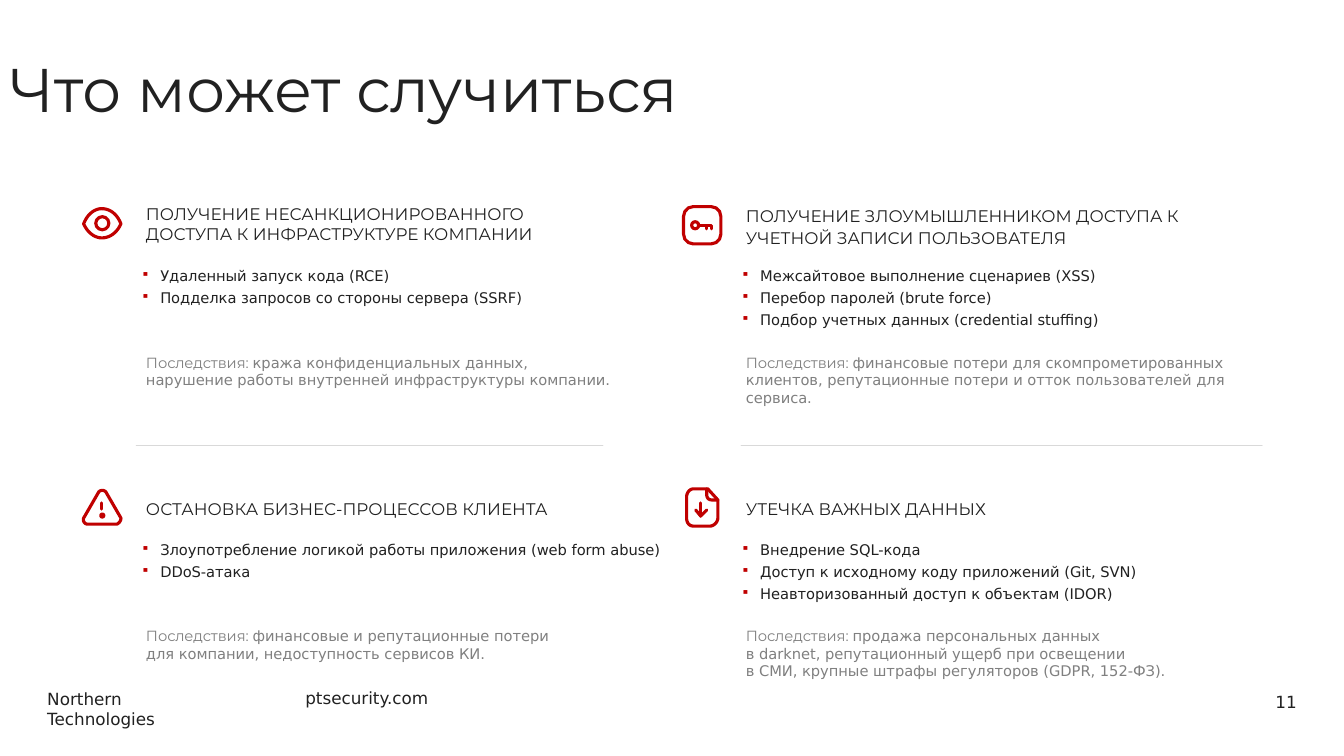
from lxml import etree
from pptx import Presentation
from pptx.dml.color import RGBColor
from pptx.enum.shapes import MSO_CONNECTOR, MSO_SHAPE
from pptx.enum.text import MSO_ANCHOR, MSO_AUTO_SIZE, PP_ALIGN
from pptx.oxml.ns import qn
from pptx.util import Inches, Pt

STRAIGHT = MSO_CONNECTOR.STRAIGHT
OVAL, ROUNDED = MSO_SHAPE.OVAL, MSO_SHAPE.ROUNDED_RECTANGLE
TOP, MIDDLE = MSO_ANCHOR.TOP, MSO_ANCHOR.MIDDLE
GROW, FIXED = MSO_AUTO_SIZE.SHAPE_TO_FIT_TEXT, MSO_AUTO_SIZE.NONE
LEFT, RIGHT = PP_ALIGN.LEFT, PP_ALIGN.RIGHT

INK = RGBColor(0x21, 0x21, 0x21)
GRAY = RGBColor(0x80, 0x80, 0x80)
RED = RGBColor(0xC0, 0x00, 0x00)
RULE = RGBColor(0xD9, 0xD9, 0xD9)
HEAD_FONT, BODY_FONT = "Montserrat", "DejaVu Sans"


def inches(values):
    return [Inches(value) for value in values]


def sample_outline(start, segments, steps=10):
    """Points along line (x, y) and cubic (x1, y1, x2, y2, x, y) segments."""
    points = [start]
    for segment in segments:
        if len(segment) == 2:
            points.append(segment)
            continue
        corners = [points[-1], segment[:2], segment[2:4], segment[4:]]
        for step in range(1, steps + 1):
            t = step / steps
            weights = ((1 - t) ** 3, 3 * t * (1 - t) ** 2, 3 * t * t * (1 - t), t ** 3)
            points.append(tuple(sum(weight * corner[axis] for weight, corner in zip(weights, corners))
                                for axis in (0, 1)))
    return points


class SlideBuilder:
    def __init__(self, slide):
        self.slide = slide

    def text_box(self, box, anchor=TOP, wrap=True, auto_size=GROW, inset=0.1):
        frame = self.slide.shapes.add_textbox(*inches(box)).text_frame
        frame.word_wrap = wrap
        frame.auto_size = auto_size
        frame.vertical_anchor = anchor
        frame.margin_left = frame.margin_right = Inches(inset)
        frame.margin_top = frame.margin_bottom = Inches(0.05)
        return frame

    def run(self, paragraph, text, size, font=BODY_FONT, color=INK):
        for index, line in enumerate(text.split("\n")):
            if index:
                paragraph.add_line_break()
            run = paragraph.add_run()
            run.text = line
            run.font.size = Pt(size)
            run.font.name = font
            run.font.color.rgb = color

    def label(self, box, text, size=12, font=BODY_FONT, spacing=1.0, align=LEFT, **frame_style):
        paragraph = self.text_box(box, **frame_style).paragraphs[0]
        paragraph.alignment = align
        paragraph.line_spacing = spacing
        self.run(paragraph, text, size, font)

    def bullets(self, box, items):
        frame = self.text_box(box, inset=0.05)
        for index, item in enumerate(items):
            paragraph = frame.add_paragraph() if index else frame.paragraphs[0]
            paragraph.line_spacing = 1.1
            paragraph.space_after = Pt(2)
            properties = paragraph._p.get_or_add_pPr()
            properties.set("marL", str(Inches(0.19)))
            properties.set("indent", str(-Inches(0.19)))
            color = etree.SubElement(properties, qn("a:buClr"))
            etree.SubElement(color, qn("a:srgbClr"), val=str(RED))
            etree.SubElement(properties, qn("a:buSzPct"), val="80000")
            etree.SubElement(properties, qn("a:buChar"), char="▪")
            self.run(paragraph, item, 10.5)

    def consequences(self, box, text):
        paragraph = self.text_box(box).paragraphs[0]
        self.run(paragraph, "Последствия: ", 10.5, HEAD_FONT, GRAY)
        self.run(paragraph, text, 10.5, BODY_FONT, GRAY)

    def line(self, start, end, color=RED, width=2.25):
        connector = self.slide.shapes.add_connector(STRAIGHT, *inches(start + end))
        connector.line.color.rgb = color
        connector.line.width = Pt(width)
        properties = connector._element.spPr
        etree.SubElement(properties, qn("a:effectLst"))
        properties.find(qn("a:ln")).set("cap", "rnd")

    def stroke(self, shape, fill=None):
        shape.shadow.inherit = False
        if fill is None:
            shape.fill.background()
        else:
            shape.fill.solid()
            shape.fill.fore_color.rgb = fill
        shape.line.color.rgb = RED
        shape.line.width = Pt(2.25)
        outline = shape._element.spPr.find(qn("a:ln"))
        outline.set("cap", "rnd")
        etree.SubElement(outline, qn("a:round"))

    def preset(self, kind, box, fill=None, corner=None):
        shape = self.slide.shapes.add_shape(kind, *inches(box))
        if corner is not None:
            shape.adjustments[0] = corner
        self.stroke(shape, fill)

    def outline(self, start, segments, close=False):
        points = [tuple(inches(point)) for point in sample_outline(start, segments)]
        builder = self.slide.shapes.build_freeform(*points[0], scale=1.0)
        builder.add_line_segments(points[1:], close=close)
        self.stroke(builder.convert_to_shape())


def draw_icons(page):
    # Eye
    page.outline((0.83, 2.22), [(0.87, 2.12, 0.94, 2.07, 1.01, 2.07), (1.09, 2.07, 1.16, 2.12, 1.2, 2.22),
                                (1.16, 2.31, 1.09, 2.36, 1.01, 2.36), (0.94, 2.36, 0.87, 2.31, 0.83, 2.22)], True)
    page.preset(OVAL, (0.95, 2.15, 0.13, 0.13))
    # Key
    page.preset(ROUNDED, (6.78, 2.05, 0.37, 0.37), corner=0.26)
    page.preset(OVAL, (6.86, 2.2, 0.07, 0.07))
    page.outline((6.94, 2.24), [(7.06, 2.24), (7.06, 2.27)])
    page.line((7.01, 2.27), (7.01, 2.24))
    # Warning triangle
    page.outline((0.87, 5.2), [(1.16, 5.2), (1.18, 5.19, 1.2, 5.17, 1.2, 5.14), (1.05, 4.88),
                               (1.03, 4.86, 1, 4.86, 0.98, 4.88), (0.83, 5.14),
                               (0.82, 5.17, 0.84, 5.2, 0.87, 5.2)], True)
    page.line((1.01, 5.05), (1.01, 4.99))
    page.preset(OVAL, (1, 5.1, 0.03, 0.03), fill=RED)
    # Document with a download arrow
    page.outline((7.02, 4.85), [(6.88, 4.85), (6.84, 4.85, 6.81, 4.89, 6.81, 4.93), (6.81, 5.14),
                                (6.81, 5.19, 6.84, 5.22, 6.88, 5.22), (7.04, 5.22),
                                (7.08, 5.22, 7.12, 5.18, 7.12, 5.14), (7.12, 4.96)], True)
    page.outline((7.01, 4.85), [(7.01, 4.91), (7.01, 4.94, 7.03, 4.96, 7.06, 4.96), (7.12, 4.96)])
    page.line((6.95, 5.12), (6.95, 4.99))
    page.outline((6.9, 5.06), [(6.95, 5.12), (7.01, 5.06)])


# Risks: left, (heading top, list top, consequences top), widths, heading spacing, texts
UPPER, LOWER = (1.97, 2.58, 3.46), (4.9, 5.3, 6.17)
RISKS = [
    (1.35, UPPER, (4.46, 4.5, 4.83), 1.0,
     "ПОЛУЧЕНИЕ НЕСАНКЦИОНИРОВАННОГО ДОСТУПА К ИНФРАСТРУКТУРЕ КОМПАНИИ",
     ["Удаленный запуск кода (RCE)", "Подделка запросов со стороны сервера (SSRF)"],
     "кража конфиденциальных данных,\nнарушение работы внутренней инфраструктуры компании."),
    (7.3, UPPER, (4.58, 4.5, 5.36), 1.1,
     "ПОЛУЧЕНИЕ ЗЛОУМЫШЛЕННИКОМ ДОСТУПА К УЧЕТНОЙ ЗАПИСИ ПОЛЬЗОВАТЕЛЯ",
     ["Межсайтовое выполнение сценариев (XSS)", "Перебор паролей (brute force)",
      "Подбор учетных данных (credential stuffing)"],
     "финансовые потери для скомпрометированных клиентов, репутационные потери "
     "и отток пользователей для сервиса."),
    (1.35, LOWER, (4.46, 5.26, 4.83), 1.0,
     "ОСТАНОВКА БИЗНЕС-ПРОЦЕССОВ КЛИЕНТА",
     ["Злоупотребление логикой работы приложения (web form abuse)", "DDoS-атака"],
     "финансовые и репутационные потери\nдля компании, недоступность сервисов КИ."),
    (7.3, LOWER, (4.58, 4.5, 4.83), 1.0,
     "УТЕЧКА ВАЖНЫХ ДАННЫХ",
     ["Внедрение SQL-кода", "Доступ к исходному коду приложений (Git, SVN)",
      "Неавторизованный доступ к объектам (IDOR)"],
     "продажа персональных данных\nв darknet, репутационный ущерб при освещении\n"
     "в СМИ, крупные штрафы регуляторов (GDPR, 152-ФЗ)."),
]


def main():
    presentation = Presentation()
    presentation.slide_width, presentation.slide_height = inches((13.33, 7.5))
    page = SlideBuilder(presentation.slides.add_slide(presentation.slide_layouts[6]))

    # Title
    page.label((0, 0.51, 10.53, 0.81), "Что может случиться", 44, HEAD_FONT, 0.9,
               anchor=MIDDLE, auto_size=FIXED)

    # Four risks
    for left, tops, widths, spacing, heading, items, outcome in RISKS:
        heights = (0.5 if tops is UPPER else 0.3, 0.05 + 0.23 * len(items), 0.47)
        heading_box, list_box, outcome_box = [(left, *sizes) for sizes in zip(tops, widths, heights)]
        page.label(heading_box, heading, 12, HEAD_FONT, spacing)
        page.bullets(list_box, items)
        page.consequences(outcome_box, outcome)

    draw_icons(page)

    # Dividers between the rows
    for start, end in ((1.35, 5.98), (7.35, 12.52)):
        page.line((start, 4.42), (end, 4.42), RULE, 0.5)

    # Footer
    page.label((0.37, 6.78, 1.98, 0.3), "Northern Technologies", wrap=False)
    page.label((2.93, 6.77, 1.44, 0.3), "ptsecurity.com", wrap=False)
    page.label((10.72, 6.76, 2.24, 0.4), "11", align=RIGHT, anchor=MIDDLE, auto_size=FIXED)

    presentation.save("out.pptx")


if __name__ == "__main__":
    main()
